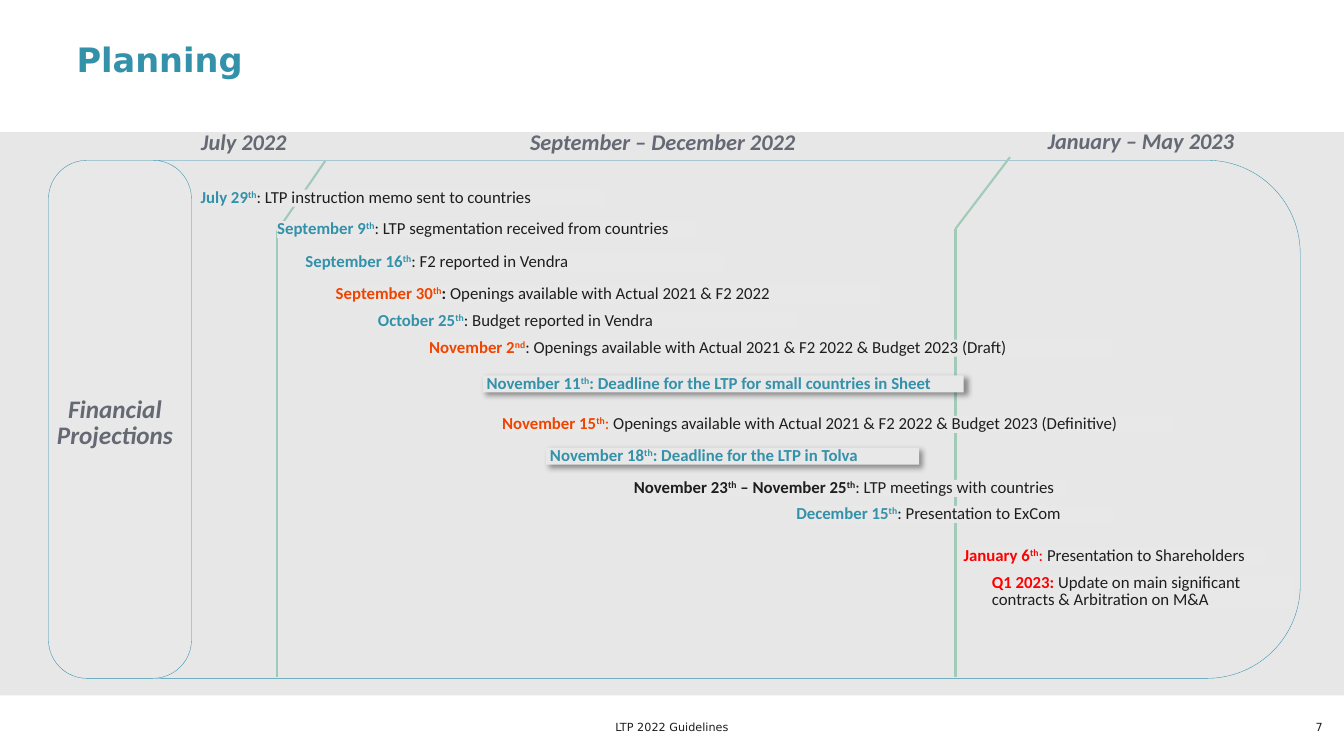
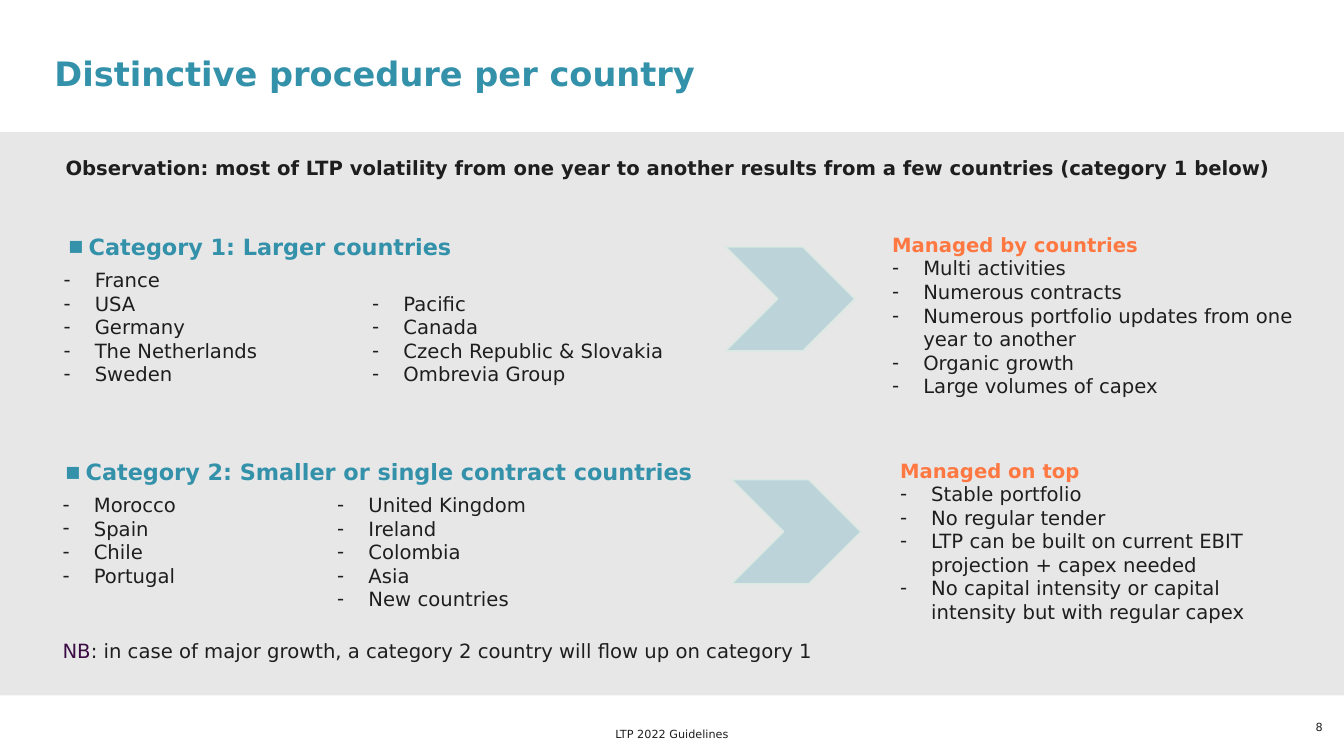
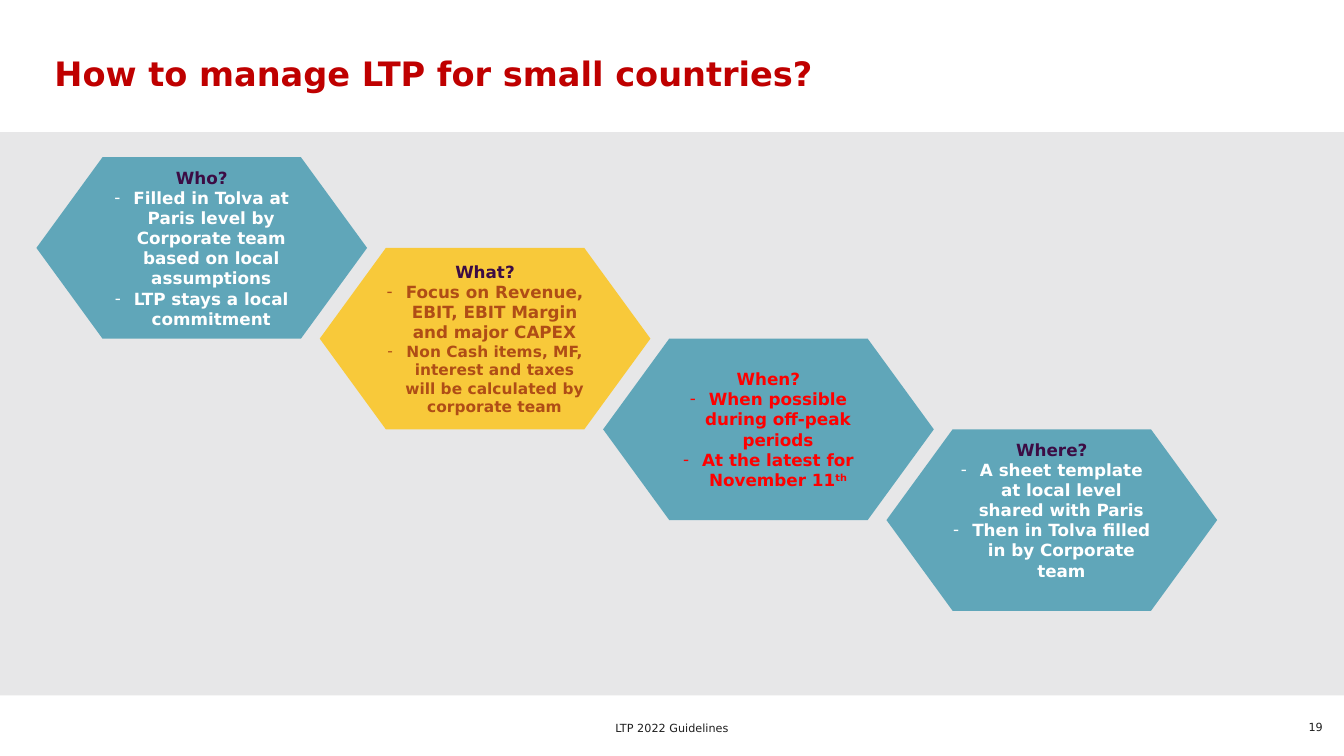
"""Build three slides of the LTP 2022 guidelines: planning, categories and small countries."""
from dataclasses import dataclass
from lxml.etree import SubElement
from pptx import Presentation
from pptx.dml.color import RGBColor
from pptx.enum.shapes import MSO_CONNECTOR as Connector, MSO_SHAPE as Preset
from pptx.enum.text import MSO_ANCHOR as Anchor, PP_ALIGN as Align
from pptx.oxml.ns import qn
from pptx.util import Pt


@dataclass(frozen=True)
class Theme:
    teal: str = "3391AA"
    ink: str = "1E1E1E"
    grey: str = "646973"
    band: str = "E7E7E8"
    panel: str = "E8E8E8"
    mint: str = "A2CAB8"
    chevron: str = "BCD3DA"
    chevron_edge: str = "DAEAE3"
    orange: str = "F04500"
    coral: str = "FF7841"
    red: str = "FF0000"
    dark_red: str = "BF0000"
    plum: str = "3C0C44"
    amber: str = "FFC000"
    brown: str = "AF4D16"
    white: str = "FFFFFF"
    black: str = "000000"
    body_font: str = "DejaVu Sans"
    plan_font: str = "Calibri"
    title_size: float = 24
    phase_size: float = 16
    stage_size: float = 18
    heading_size: float = 16
    list_size: float = 14
    card_size: float = 12
    small_card_size: float = 11
    plan_size: float = 12
    footer_size: float = 8


THEME = Theme()


@dataclass(frozen=True)
class Span:
    text: str
    color: str = THEME.ink
    bold: bool = False
    raised: bool = False


@dataclass(frozen=True)
class Para:
    spans: tuple
    size: float
    bullet: str = ""
    indent: float = 0
    bullet_percent: int = 100
    font: str = THEME.body_font
    align: Align = Align.LEFT
    line: float = 1.0


FOOTER = "LTP 2022 Guidelines"
BAND = (0, 94.3, 960, 402.5)
INSETS = (2.9, 0, 2.9, 0)
NO_INSETS = (0, 0, 0, 0)
LIST_INDENT = 22.3
LIST_LINE = 16.8

FRAMES = [
    ((50.4, 114.5, 878.4, 370.1), 0.18, None),
    ((34.6, 114.5, 102.2, 370.1), 0.27, THEME.panel),
]
DIVIDERS = [((232.6, 114.5), (198, 164.9)), ((721.4, 112.3), (682.5, 163.4))]
DIVIDER_END = 483.8
PHASES = [
    ("July 2022", (118.8, 94.7, 110.9, 16.6), THEME.phase_size),
    ("September – December 2022", (241.2, 94.7, 464.4, 16.6), THEME.phase_size),
    ("January – May 2023", (730.8, 93.6, 168.5, 16.6), THEME.phase_size),
    ("Financial Projections", (39.6, 284.4, 85, 37.4), THEME.stage_size),
]


def dated(day, suffix, color, *rest):
    return (Span(day, color, True), Span(suffix, color, True, True), *rest)


MILESTONES = [
    (143.3, 135.4, 288.7, dated("July 29", "th", THEME.teal, Span(": LTP instruction memo sent to countries"))),
    (198, 158, 299.5, dated("September 9", "th", THEME.teal, Span(": LTP segmentation received from countries"))),
    (218.2, 181.4, 299.5, dated("September 16", "th", THEME.teal, Span(": F2 reported in Vendra"))),
    (239.8, 204.5, 389.5, dated("September 30", "th", THEME.orange, Span(":", bold=True),
                                Span(" Openings available with Actual 2021 & F2 2022"))),
    (270, 223.2, 299.5, dated("October 25", "th", THEME.teal, Span(": Budget reported in Vendra"))),
    (306.5, 242.6, 489, dated("November 2", "nd", THEME.orange, Span(
        ": Openings available with Actual 2021 & F2 2022 & Budget 2023 (Draft)"))),
    (358.6, 297, 479.5, dated("November 15", "th", THEME.orange, Span(": ", THEME.orange), Span(
        "Openings available with Actual 2021 & F2 2022 & Budget 2023 (Definitive)"))),
    (452.7, 342.7, 309, dated("November 23", "th", THEME.ink, *dated(
        " – November 25", "th", THEME.ink, Span(": LTP meetings with countries")))),
    (568.8, 361.4, 227.5, dated("December 15", "th", THEME.teal, Span(": Presentation to ExCom"))),
    (688.3, 391.3, 216, dated("January 6", "th", THEME.red, Span(": ", THEME.red),
                              Span("Presentation to Shareholders"))),
    (708.5, 410.4, 216, (Span("Q1 2023: ", THEME.red, True),
                         Span("Update on main significant contracts & Arbitration on M&A"))),
]
DEADLINES = [
    (344.9, 268.2, 343.4, dated("November 11", "th", THEME.teal, Span(
        ": Deadline for the LTP for small countries in Sheet", THEME.teal, True))),
    (390.2, 319.7, 266.4, dated("November 18", "th", THEME.teal, Span(
        ": Deadline for the LTP in Tolva", THEME.teal, True))),
]

OBSERVATION = ("Observation: most of LTP volatility from one year to another results "
               "from a few countries (category 1 below)")
CATEGORIES = [
    {
        "heading": ("Category 1: Larger countries", 46.1, 166.3),
        "columns": [
            (42.5, 191.5, ["France", "USA", "Germany", "The Netherlands", "Sweden"]),
            (263, 191.5 + LIST_LINE, ["Pacific", "Canada", "Czech Republic & Slovakia", "Ombrevia Group"]),
        ],
        "chevron": (518.4, 176.4),
        "management": ("Managed by countries", 634.3, 166.3, 298, [
            "Multi activities", "Numerous contracts",
            "Numerous portfolio updates from one year to another",
            "Organic growth", "Large volumes of capex"]),
    },
    {
        "heading": ("Category 2: Smaller or single contract countries", 43.9, 327.6),
        "columns": [
            (41.8, 352.1, ["Morocco", "Spain", "Chile", "Portugal"]),
            (238, 352.1, ["United Kingdom", "Ireland", "Colombia", "Asia", "New countries"]),
        ],
        "chevron": (522.7, 342.7),
        "management": ("Managed on top", 640, 327.6, 293, [
            "Stable portfolio", "No regular tender",
            "LTP can be built on current EBIT projection + capex needed",
            "No capital intensity or capital intensity but with regular capex"]),
    },
]
NOTE = (Span("NB", THEME.plum), Span(": in case of major growth, a category 2 country will flow up on category 1"))


def card_point(color, text, *more, size=THEME.card_size):
    return (Span(text, color, True), *more), size


CARDS = [
    ("Who?", THEME.plum, THEME.teal, 3.6, [
        card_point(THEME.white, "Filled in Tolva at Paris level by Corporate team based on local assumptions"),
        card_point(THEME.white, "LTP stays a local commitment")]),
    ("What?", THEME.plum, THEME.amber, 3.6, [
        card_point(THEME.brown, "Focus on Revenue, EBIT, EBIT Margin and major CAPEX"),
        card_point(THEME.brown, "Non Cash items, MF, interest and taxes will be calculated by corporate team",
                   size=THEME.small_card_size)]),
    ("When?", THEME.red, THEME.teal, 3.6, [
        card_point(THEME.red, "When possible during off-peak periods"),
        card_point(THEME.red, "At the latest for November 11", Span("th", THEME.red, True, True))]),
    ("Where?", THEME.plum, THEME.teal, 18, [
        card_point(THEME.white, "A sheet template at local level shared with Paris"),
        card_point(THEME.white, "Then in Tolva filled in by Corporate team")]),
]
CARD_START, CARD_STEP, CARD_SIZE = (26, 112.3), (202.4, 64.8), (236.2, 129.6)


def points(values):
    return [Pt(value) for value in values]


def rgb(color):
    return RGBColor.from_string(color)


def set_bullet(para, content):
    props = para._p.get_or_add_pPr()
    props.set("marL", str(Pt(content.indent)))
    props.set("indent", str(-Pt(content.indent)))
    SubElement(props, qn("a:buSzPct"), val=str(content.bullet_percent * 1000))
    SubElement(props, qn("a:buFont"), typeface=content.font)
    SubElement(props, qn("a:buChar"), char=content.bullet)


def write(frame, paras, insets=INSETS, anchor=Anchor.TOP):
    frame.word_wrap = True
    frame.vertical_anchor = anchor
    frame.margin_left, frame.margin_top, frame.margin_right, frame.margin_bottom = points(insets)
    for index, content in enumerate(paras):
        para = frame.add_paragraph() if index else frame.paragraphs[0]
        para.alignment = content.align
        para.line_spacing = content.line
        para.space_before = Pt(0)
        if content.bullet:
            set_bullet(para, content)
        for span in content.spans:
            run = para.add_run()
            run.text = span.text
            font = run.font
            font.name, font.size, font.bold = content.font, Pt(content.size), span.bold
            font.color.rgb = rgb(span.color)
            if span.raised:
                font._element.set("baseline", "30000")


def add_text(page, place, paras, insets=INSETS, anchor=Anchor.TOP):
    box = page.shapes.add_textbox(*points(place))
    write(box.text_frame, paras, insets, anchor)
    return box


def add_preset(page, preset, place, fill=None, edge=None, weight=1):
    shape = page.shapes.add_shape(preset, *points(place))
    shape.shadow.inherit = False
    if fill:
        shape.fill.solid()
        shape.fill.fore_color.rgb = rgb(fill)
    else:
        shape.fill.background()
    if edge:
        shape.line.color.rgb = rgb(edge)
        shape.line.width = Pt(weight)
    else:
        shape.line.fill.background()
    return shape


def add_line(page, start, end):
    line = page.shapes.add_connector(Connector.STRAIGHT, *points(start + end))
    line.line.color.rgb = rgb(THEME.mint)
    line.line.width = Pt(1.5)
    SubElement(line._element.spPr, qn("a:effectLst"))


def cast_shadow(box):
    effects = SubElement(box._element.spPr, qn("a:effectLst"))
    shadow = SubElement(effects, qn("a:outerShdw"), blurRad=str(Pt(4)), dist=str(Pt(3)),
                        dir="2700000", algn="tl", rotWithShape="0")
    color = SubElement(shadow, qn("a:srgbClr"), val=THEME.black)
    SubElement(color, qn("a:alpha"), val="40000")


def start_page(deck, title, number, color=THEME.teal, title_at=(36, 22), footer_top=514.8):
    page = deck.slides.add_slide(deck.slide_layouts[5])
    add_preset(page, Preset.RECTANGLE, BAND, THEME.band)
    holder = page.shapes.title
    holder.left, holder.top, holder.width, holder.height = points((*title_at, 859, 64))
    write(holder.text_frame, [Para((Span(title, color, True),), THEME.title_size, line=0.9)],
          anchor=Anchor.MIDDLE)
    for text, place, align in (
        (FOOTER, (295.7, footer_top, 368.6, 9.4), Align.CENTER),
        (str(number), (907.6, 514.8, 40.2, 9.4), Align.RIGHT),
    ):
        add_text(page, place, [Para((Span(text),), THEME.footer_size, align=align)], anchor=Anchor.BOTTOM)
    return page


def add_milestone(page, left, top, width, spans, inset=0):
    height = 24.5 if top > 400 else 12.2
    para = Para(spans, THEME.plan_size, font=THEME.plan_font, line=0.85)
    box = add_text(page, (left, top, width, height), [para], (inset, 0, 0, 0))
    box.fill.solid()
    box.fill.fore_color.rgb = rgb(THEME.panel)
    return box


def build_planning(deck):
    page = start_page(deck, "Planning", 7, title_at=(51.8, 12.2))
    for place, rounding, fill in FRAMES:
        frame = add_preset(page, Preset.ROUNDED_RECTANGLE, place, fill, THEME.teal, 0.25)
        frame.adjustments[0] = rounding
    for top, knee in DIVIDERS:
        add_line(page, top, knee)
        add_line(page, knee, (knee[0], DIVIDER_END))
    for milestone in MILESTONES:
        add_milestone(page, *milestone)
    for deadline in DEADLINES:
        cast_shadow(add_milestone(page, *deadline, inset=2.7))
    for text, place, size in PHASES:
        para = Para((Span(text, THEME.grey, True),), size, font=THEME.plan_font, align=Align.CENTER, line=0.85)
        box = add_text(page, place, [para], NO_INSETS)
        box.text_frame.paragraphs[0].runs[0].font.italic = True


def dash_list(items):
    return [Para((Span(item),), THEME.list_size, "-", LIST_INDENT) for item in items]


def build_categories(deck):
    page = start_page(deck, "Distinctive procedure per country", 8, footer_top=519.8)
    add_text(page, (43.9, 111.6, 913.7, 30), [Para((Span(OBSERVATION, bold=True),), THEME.list_size)])
    for category in CATEGORIES:
        heading, left, top = category["heading"]
        add_text(page, (left, top, 470, 22), [
            Para((Span(heading, THEME.teal, True),), THEME.heading_size, "■", 14.4, 70)])
        for left, top, countries in category["columns"]:
            add_text(page, (left, top, 240, LIST_LINE * len(countries)), dash_list(countries))
        add_preset(page, Preset.CHEVRON, (*category["chevron"], 92.2, 74.2),
                   THEME.chevron, THEME.chevron_edge)
        heading, left, top, width, reasons = category["management"]
        add_text(page, (left, top, width, LIST_LINE * 7), [
            Para((Span(heading, THEME.coral, True),), THEME.list_size), *dash_list(reasons)])
    add_text(page, (41.8, 456.5, 566, 20), [Para(NOTE, THEME.list_size)])


def build_small_countries(deck):
    page = start_page(deck, "How to manage LTP for small countries?", 19, THEME.dark_red, footer_top=515.5)
    for index, (question, color, fill, bottom, answers) in enumerate(CARDS):
        corner = [start + step * index for start, step in zip(CARD_START, CARD_STEP)]
        card = add_preset(page, Preset.FLOWCHART_PREPARATION, (*corner, *CARD_SIZE), fill)
        fill_color = card._element.spPr.find(qn("a:solidFill"))[0]
        SubElement(fill_color, qn("a:alpha"), val="75000")
        paras = [Para((Span(question, color, True),), THEME.card_size, align=Align.CENTER)]
        paras += [Para(spans, size, "-", 13.7, align=Align.CENTER) for spans, size in answers]
        write(card.text_frame, paras, (0, 3.6, 0, bottom), Anchor.MIDDLE)


def main():
    deck = Presentation()
    deck.slide_width, deck.slide_height = Pt(960), Pt(540)
    build_planning(deck)
    build_categories(deck)
    build_small_countries(deck)
    deck.save("out.pptx")


if __name__ == "__main__":
    main()
